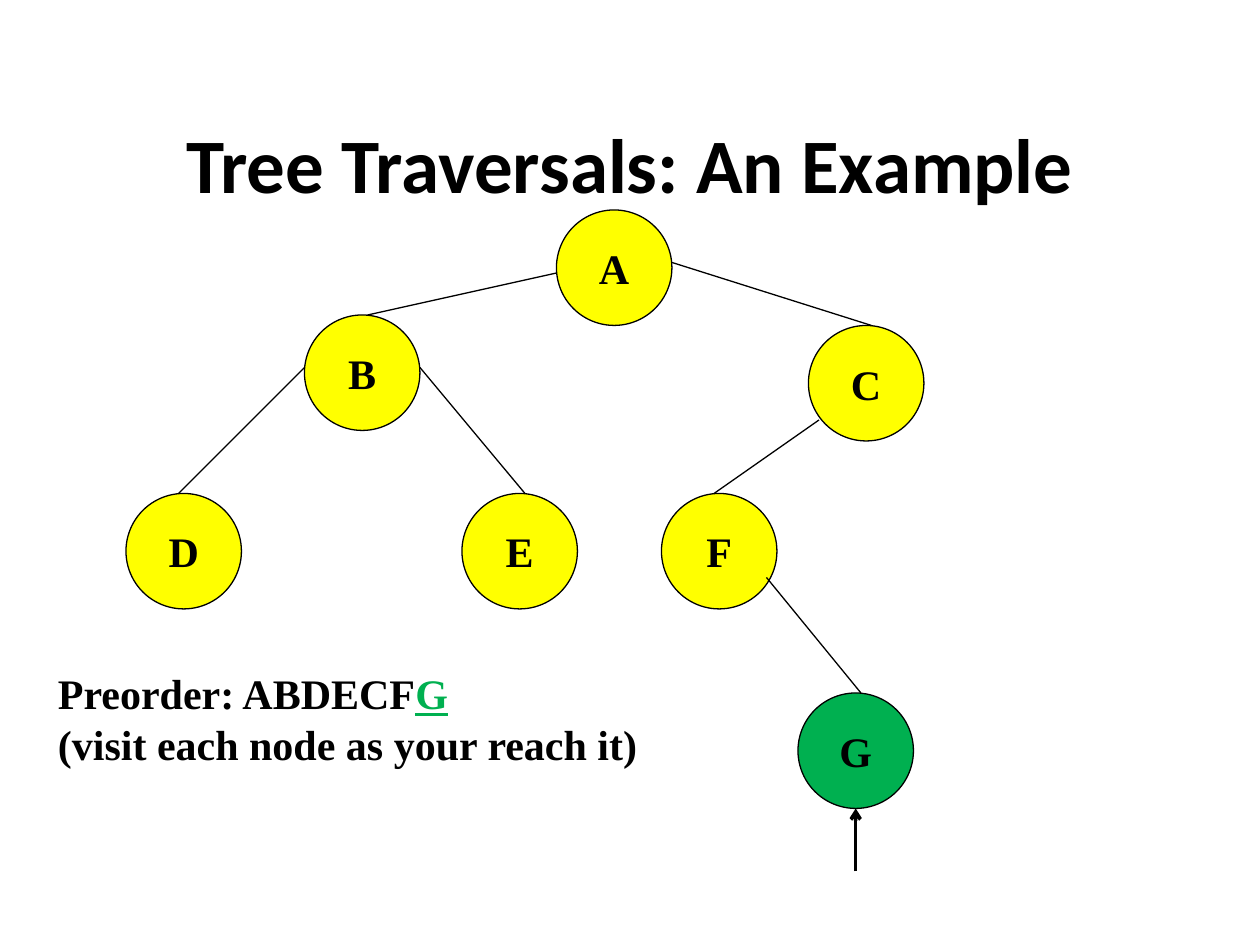
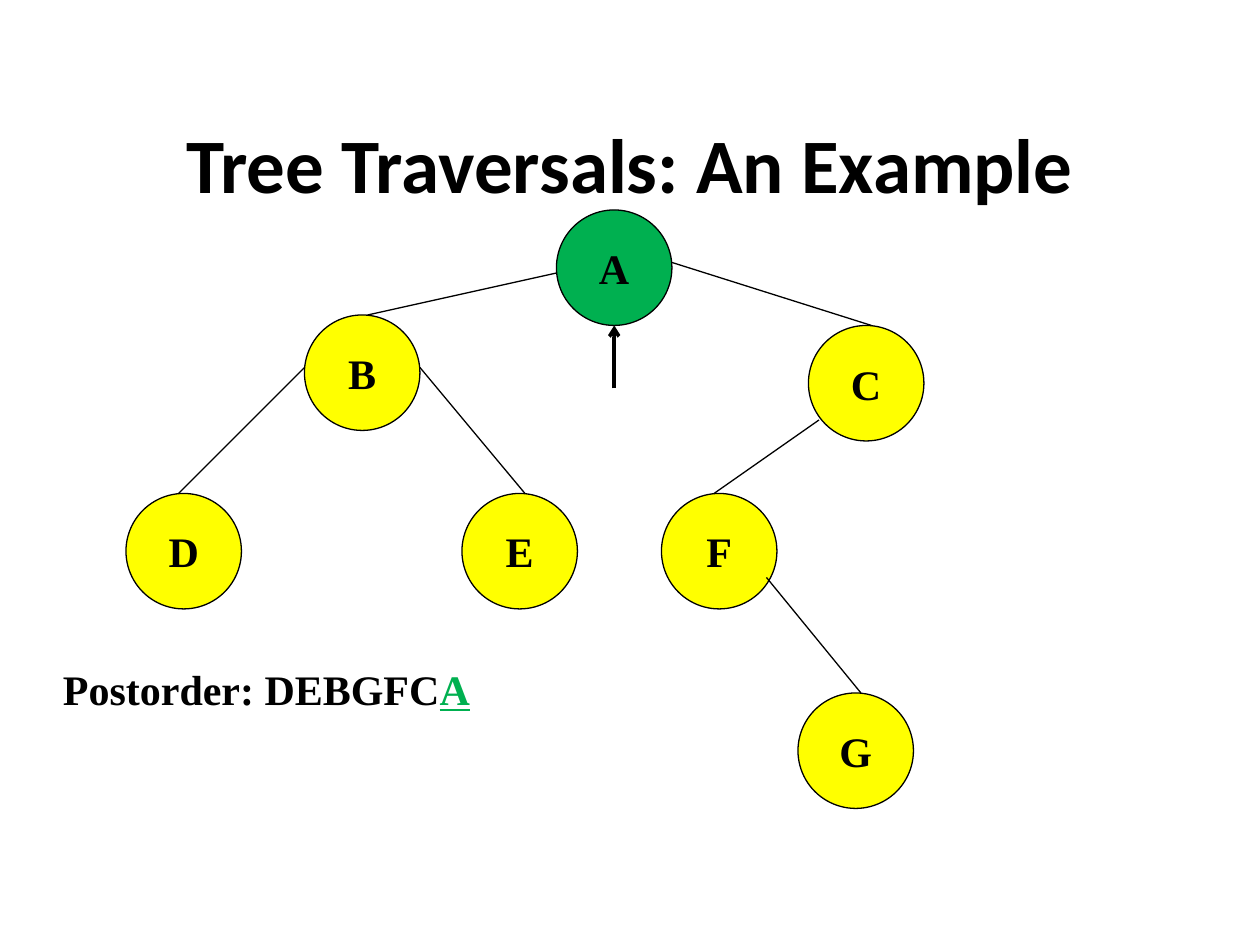
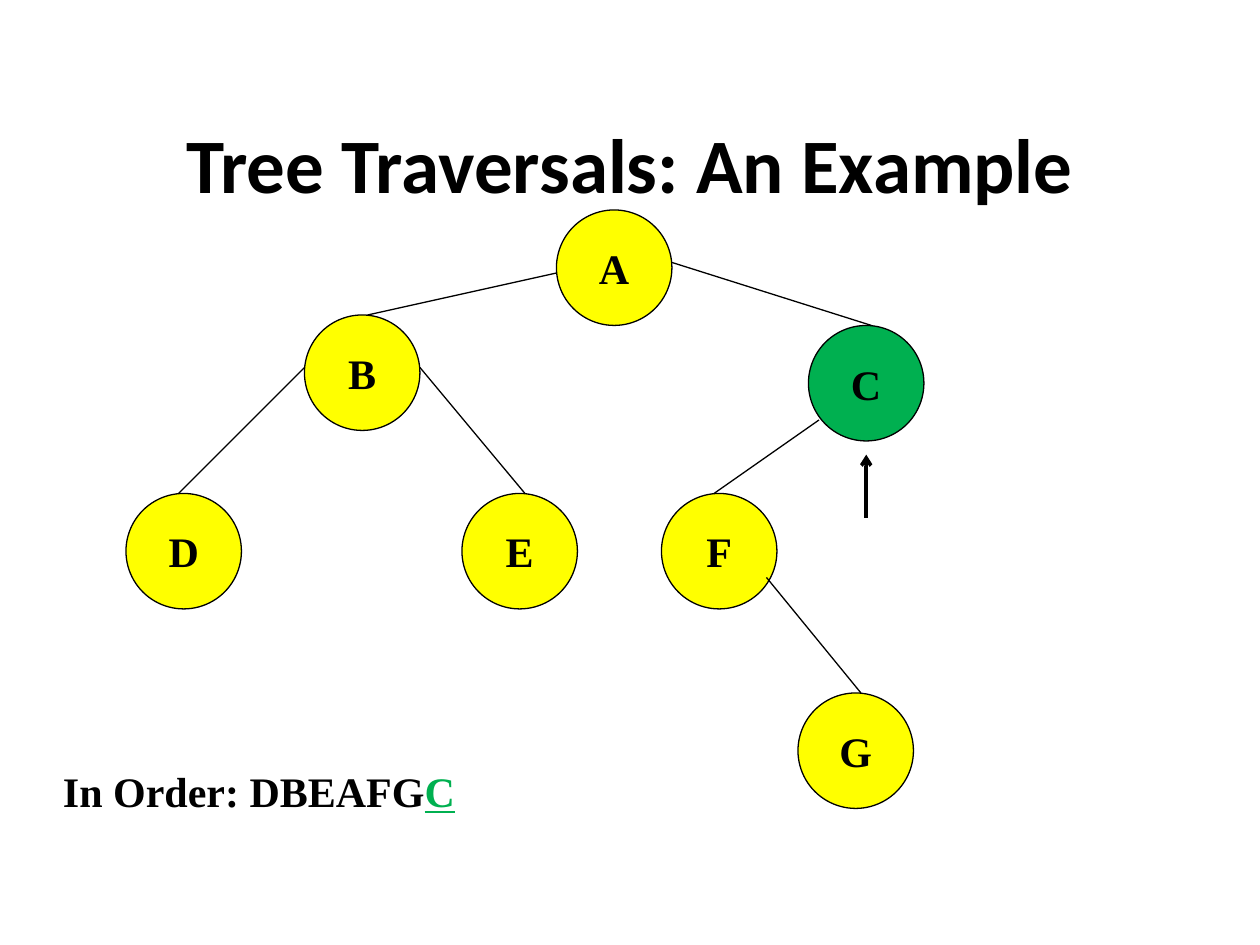
from lxml import etree
from pptx import Presentation, util as u
from pptx.dml.color import RGBColor
from pptx.enum import shapes, text
from pptx.oxml.ns import qn

# Content
TITLE = "Tree Traversals: An Example"
NODES = {  # left and top, in grid steps
    "A": (53, 20), "E": (44, 47), "F": (63, 47), "C": (77, 31),
    "B": (29, 30), "G": (76, 66), "D": (12, 47),
}
EDGES = [  # parent end, child end, in grid steps
    ((53, 26), (35, 30)),
    ((64, 25), (83, 31)),
    ((29, 35), (17, 47)),
    ((40, 35), (50, 47)),
    ((73, 55), (82, 66)),
    ((78, 40), (68, 47)),
]
TRAVERSALS = [  # box is left, top, width, height in cm; gap is in grid steps
    dict(order="Preorder: ABDECF", visiting="G", gap=0,
         remark="(visit each node as your reach it)",
         box=(0.92, 13.34, 12.22, 2.29)),
    dict(order="Postorder: DEBGFC", visiting="A", gap=0,
         remark=None, box=(1.02, 13.25, 8.71, 1.27)),
    dict(order="In Order: DBEAFG", visiting="C", gap=1.3,
         remark=None, box=(1.02, 15.3, 8.6, 1.27)),
]

# Shared style
COLORS = {"ink": "000000", "node": "FFFF00", "visiting": "00B050"}
TITLE_FONT, BODY_FONT = "Calibri", "Times New Roman"
NODE_SIZE = 11
ARROW_LENGTH = 6


def color(name):
    return RGBColor.from_string(COLORS[name])


def grid(steps):
    return u.Cm(2.54 * steps / 12)


def write(paragraph, words, size=24, font=BODY_FONT, ink="ink", underline=None):
    run = paragraph.add_run()
    run.text = words
    run.font.size = u.Pt(size)
    run.font.name = font
    run.font.bold = True
    run.font.underline = underline
    run.font.color.rgb = color(ink)


def add_title(slide):
    title = slide.shapes.title
    title.left, title.top, title.width, title.height = map(
        u.Cm, (1.9, 1.69, 21.6, 3.18))
    frame = title.text_frame
    frame.auto_size = text.MSO_AUTO_SIZE.NONE
    frame.vertical_anchor = text.MSO_ANCHOR.MIDDLE
    frame.paragraphs[0].alignment = text.PP_ALIGN.CENTER
    write(frame.paragraphs[0], TITLE, size=44, font=TITLE_FONT)


def add_node(slide, letter, fill):
    left, top = NODES[letter]
    node = slide.shapes.add_shape(
        shapes.MSO_SHAPE.OVAL, grid(left), grid(top),
        grid(NODE_SIZE), grid(NODE_SIZE))
    node.shadow.inherit = False
    node.fill.solid()
    node.fill.fore_color.rgb = color(fill)
    node.line.color.rgb = color("ink")
    node.line.width = u.Pt(0.75)
    frame = node.text_frame
    frame.word_wrap = False
    frame.vertical_anchor = text.MSO_ANCHOR.MIDDLE
    frame.paragraphs[0].alignment = text.PP_ALIGN.CENTER
    write(frame.paragraphs[0], letter)


def add_line(slide, start, end, width=0.75, arrow=False):
    line = slide.shapes.add_connector(
        shapes.MSO_CONNECTOR.STRAIGHT, *map(grid, start + end))
    line.line.color.rgb = color("ink")
    line.line.width = u.Pt(width)
    properties = line._element.spPr
    if arrow:
        etree.SubElement(properties.find(qn("a:ln")), qn("a:tailEnd"), type="arrow")
    etree.SubElement(properties, qn("a:effectLst"))


def add_pointer(slide, letter, gap):
    left, top = NODES[letter]
    center = left + NODE_SIZE / 2
    tip = top + NODE_SIZE + gap
    add_line(slide, (center, tip + ARROW_LENGTH), (center, tip), width=2, arrow=True)


def add_caption(slide, traversal):
    caption = slide.shapes.add_textbox(*map(u.Cm, traversal["box"]))
    frame = caption.text_frame
    frame.word_wrap = False
    frame.auto_size = text.MSO_AUTO_SIZE.SHAPE_TO_FIT_TEXT
    paragraph = frame.paragraphs[0]
    write(paragraph, traversal["order"])
    write(paragraph, traversal["visiting"], ink="visiting", underline=True)
    if traversal["remark"]:
        paragraph.add_line_break()
        write(paragraph, traversal["remark"])


def main():
    deck = Presentation()
    deck.slide_width, deck.slide_height = u.Cm(25.4), u.Cm(19.05)
    for traversal in TRAVERSALS:
        slide = deck.slides.add_slide(deck.slide_layouts[5])
        visiting = traversal["visiting"]
        add_title(slide)
        for letter in NODES:
            add_node(slide, letter, "visiting" if letter == visiting else "node")
        for start, end in EDGES:
            add_line(slide, start, end)
        add_caption(slide, traversal)
        add_pointer(slide, visiting, traversal["gap"])
    deck.save("out.pptx")


if __name__ == "__main__":
    main()
